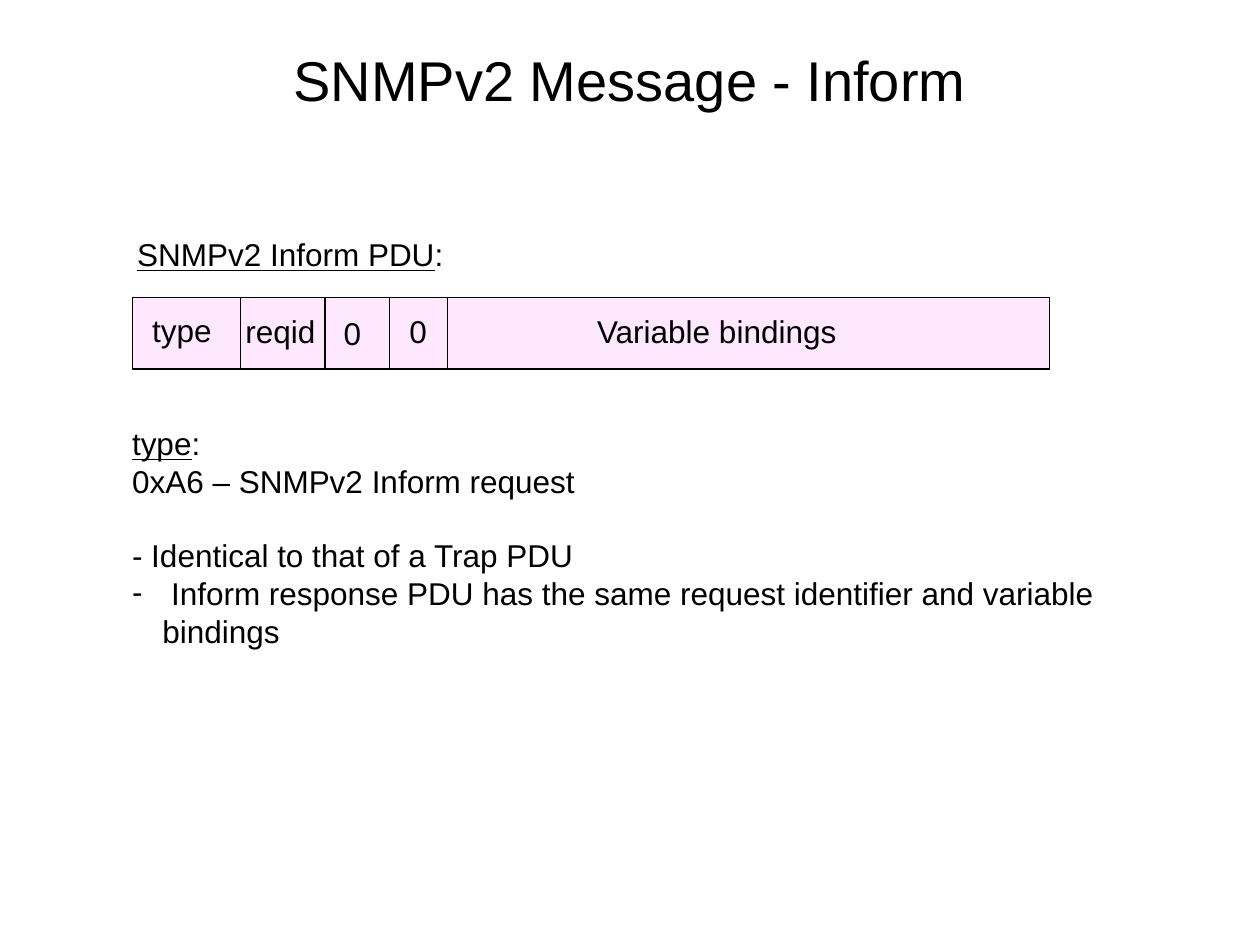
import pptx
import pptx.util
import pptx.dml.color
import pptx.enum.shapes
import pptx.enum.text
import pptx.oxml.ns
import lxml.etree

BLACK = pptx.dml.color.RGBColor(0, 0, 0)
PINK = pptx.dml.color.RGBColor(0xFE, 0xE8, 0xFE)
Inches = pptx.util.Inches
Pt = pptx.util.Pt
Align = pptx.enum.text.PP_ALIGN
Anchor = pptx.enum.text.MSO_ANCHOR
qn = pptx.oxml.ns.qn
LINE_HEIGHT = 20.7


def add_run(paragraph, text, size=18, underline=False):
    run = paragraph.add_run()
    run.text = text
    run.font.name = "Arial"
    run.font.size = Pt(size)
    run.font.color.rgb = BLACK
    if underline:
        run.font.underline = True


def add_text_frame(slide, box, wrap=True):
    frame = slide.shapes.add_textbox(*map(Inches, box)).text_frame
    frame.word_wrap = wrap
    return frame


def add_heading(paragraph, term):
    add_run(paragraph, term, underline=True)
    add_run(paragraph, ":")


def add_title(slide, box, text):
    frame = add_text_frame(slide, box)
    frame.vertical_anchor = Anchor.MIDDLE
    paragraph = frame.paragraphs[0]
    paragraph.alignment = Align.CENTER
    add_run(paragraph, text, size=32)


def add_divider(slide, x, top, height):
    divider = slide.shapes.add_connector(
        pptx.enum.shapes.MSO_CONNECTOR.STRAIGHT,
        *map(Inches, (x, top, x, top + height)))
    divider.line.color.rgb = BLACK
    divider.line.width = Pt(0.75)
    lxml.etree.SubElement(divider._element.spPr, qn("a:effectLst"))


def add_message_format(slide, box, fields):
    left, top, width, height = box
    frame = slide.shapes.add_shape(
        pptx.enum.shapes.MSO_SHAPE.RECTANGLE, *map(Inches, box))
    frame.shadow.inherit = False
    frame.fill.solid()
    frame.fill.fore_color.rgb = PINK
    frame.line.color.rgb = BLACK
    frame.line.width = Pt(0.75)
    for name, start, label_start, label_width, label_drop in fields:
        if start:
            add_divider(slide, left + start, top, height)
        label_box = (left + label_start, top + label_drop, label_width, 0.4)
        label = add_text_frame(slide, label_box, wrap=False)
        add_run(label.paragraphs[0], name)


def add_explanation(slide, box):
    frame = add_text_frame(slide, box)
    add_heading(frame.paragraphs[0], "type")
    add_run(frame.add_paragraph(), "0xA6 – SNMPv2 Inform request")
    note = frame.add_paragraph()
    note.space_before = Pt(LINE_HEIGHT)
    add_run(note, "- Identical to that of a Trap PDU")
    bullet = frame.add_paragraph()
    add_run(bullet, " Inform response PDU has the same request identifier "
                    "and variable bindings")
    properties = bullet._p.get_or_add_pPr()
    properties.set("marL", str(Inches(0.24)))
    properties.set("indent", str(-Inches(0.24)))
    lxml.etree.SubElement(properties, qn("a:buFont")).set("typeface", "Arial")
    lxml.etree.SubElement(properties, qn("a:buChar")).set("char", "-")


def build_slide(presentation):
    slide = presentation.slides.add_slide(presentation.slide_layouts[6])
    add_title(slide, (0.5, 0, 9, 1.25), "SNMPv2 Message - Inform")
    caption = add_text_frame(slide, (0.99, 1.82, 2.63, 0.4), wrap=False)
    add_heading(caption.paragraphs[0], "SNMPv2 Inform PDU")
    fields = [
        ("type", 0, 0.06, 0.67, 0.06),
        ("reqid", 0.86, 0.8, 0.76, 0.07),
        ("0", 1.53, 1.58, 0.34, 0.08),
        ("0", 2.04, 2.1, 0.34, 0.07),
        ("Variable bindings", 2.5, 3.59, 2.12, 0.07),
    ]
    add_message_format(slide, (1.05, 2.36, 7.28, 0.57), fields)
    add_explanation(slide, (0.95, 3.32, 8.3, 2.5))


presentation = pptx.Presentation()
presentation.slide_width = Inches(10)
presentation.slide_height = Inches(7.5)
build_slide(presentation)
presentation.save("out.pptx")
